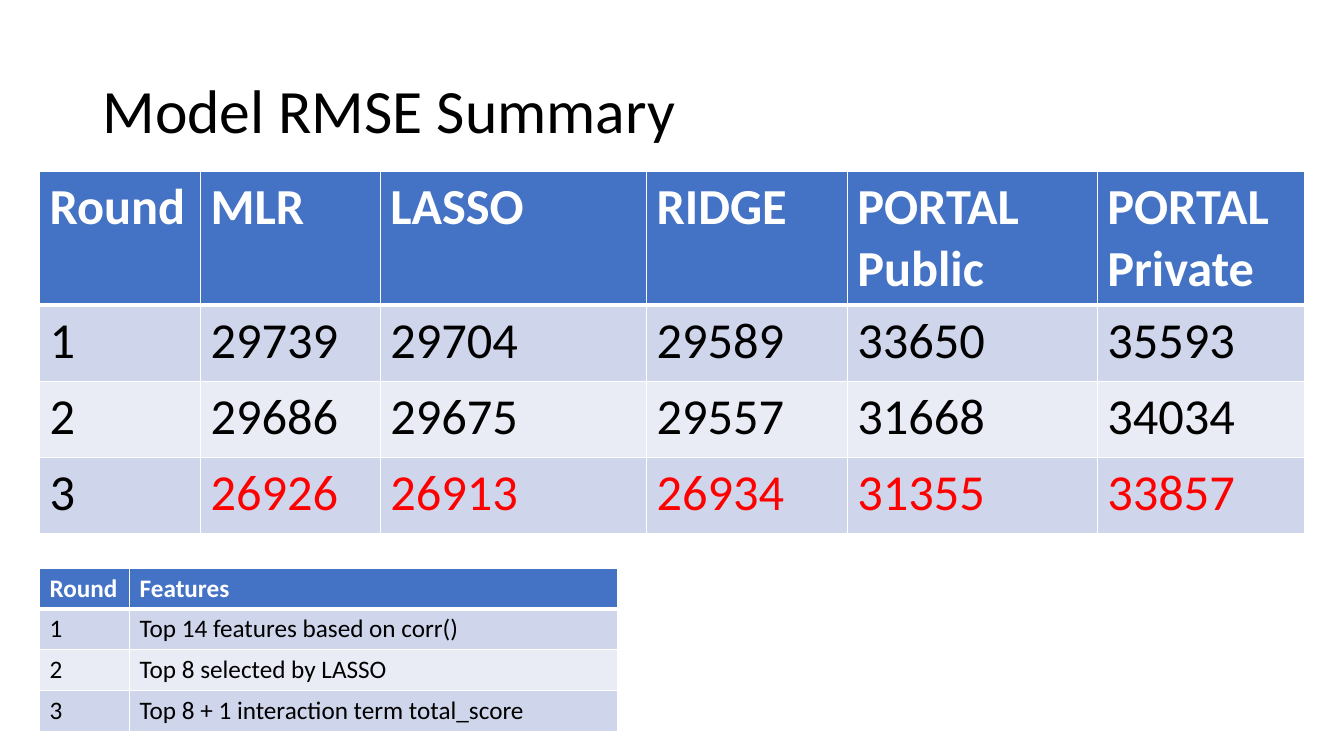
from lxml import etree
from pptx import Presentation
from pptx.dml.color import RGBColor
from pptx.enum.text import MSO_ANCHOR, MSO_AUTO_SIZE, PP_ALIGN
from pptx.oxml.ns import qn
from pptx.util import Pt

LEFT = PP_ALIGN.LEFT
MIDDLE = MSO_ANCHOR.MIDDLE
NO_AUTOFIT = MSO_AUTO_SIZE.NONE

THEME = {
    "font": "Calibri",
    "title_size": 44,
    "summary_size": 36,
    "features_size": 18,
    "text": "000000",
    "header_text": "FFFFFF",
    "best": "FF0000",
    "header_fill": "4472C4",
    "bands": ["E9EBF5", "CFD5EA"],
    "border": "FFFFFF",
}


def format_font(font, size, color, bold=False):
    """Apply the theme font with the given size, colour and weight."""
    values = {"name": THEME["font"], "size": Pt(size), "bold": bold}
    for name, value in values.items():
        setattr(font, name, value)
    font.color.rgb = RGBColor.from_string(color)


def add_borders(cell, widths):
    """Draw solid cell borders; widths maps each side's tag to points."""
    properties = cell._tc.get_or_add_tcPr()
    for side, width in widths.items():
        line = etree.SubElement(properties, qn(f"a:{side}"), w=str(Pt(width)))
        fill = etree.SubElement(line, qn("a:solidFill"))
        etree.SubElement(fill, qn("a:srgbClr"), val=THEME["border"])


presentation = Presentation()
presentation.slide_width = Pt(960)
presentation.slide_height = Pt(540)
slide = presentation.slides.add_slide(presentation.slide_layouts[5])

# Title
title = slide.shapes.title
title_box = {"left": 66, "top": 28.75, "width": 828, "height": 104.4}
for name, value in title_box.items():
    setattr(title, name, Pt(value))
frame = title.text_frame
frame.text = "Model RMSE Summary"
frame_format = {"vertical_anchor": MIDDLE, "word_wrap": True, "auto_size": NO_AUTOFIT}
for name, value in frame_format.items():
    setattr(frame, name, value)
paragraph = frame.paragraphs[0]
paragraph.alignment = LEFT
paragraph.line_spacing = 0.9
format_font(paragraph.runs[0].font, THEME["title_size"], THEME["text"])

# Tables: RMSE scores by round, then the features used in each round
tables = [
    {
        "top": 122.6,
        "size": THEME["summary_size"],
        "columns": [115, 128.3, 190.3, 143.3, 178.6, 148.2],
        "row_heights": [94, 54.5, 54.5, 54.5],
        "best_row": 3,
        "rows": [
            ["Round", "MLR", "LASSO", "RIDGE", "PORTAL Public", "PORTAL Private"],
            ["1", "29739", "29704", "29589", "33650", "35593"],
            ["2", "29686", "29675", "29557", "31668", "34034"],
            ["3", "26926", "26913", "26934", "31355", "33857"],
        ],
    },
    {
        "top": 405.7,
        "size": THEME["features_size"],
        "columns": [64.3, 348.7],
        "row_heights": [29.2] * 4,
        "best_row": None,
        "rows": [
            ["Round", "Features"],
            ["1", "Top 14 features based on corr()"],
            ["2", "Top 8 selected by LASSO"],
            ["3", "Top 8 + 1 interaction term total_score"],
        ],
    },
]

for data in tables:
    columns, heights, rows = data["columns"], data["row_heights"], data["rows"]
    table = slide.shapes.add_table(
        len(rows), len(columns),
        Pt(28.3), Pt(data["top"]), Pt(sum(columns)), Pt(sum(heights)),
    ).table
    for column, width in zip(table.columns, columns):
        column.width = Pt(width)
    for row, height in zip(table.rows, heights):
        row.height = Pt(height)

    for row_index, texts in enumerate(rows):
        is_header = row_index == 0
        fill = THEME["header_fill"] if is_header else THEME["bands"][row_index % 2]
        borders = {
            "lnL": 1,
            "lnR": 1,
            "lnT": 3 if row_index == 1 else 1,
            "lnB": 3 if is_header else 1,
        }
        for column_index, text in enumerate(texts):
            cell = table.cell(row_index, column_index)
            add_borders(cell, borders)
            cell.fill.solid()
            cell.fill.fore_color.rgb = RGBColor.from_string(fill)
            cell.text = text
            color = THEME["header_text"] if is_header else THEME["text"]
            if row_index == data["best_row"] and column_index > 0:
                color = THEME["best"]
            run = cell.text_frame.paragraphs[0].runs[0]
            format_font(run.font, data["size"], color, is_header)

presentation.save("out.pptx")
